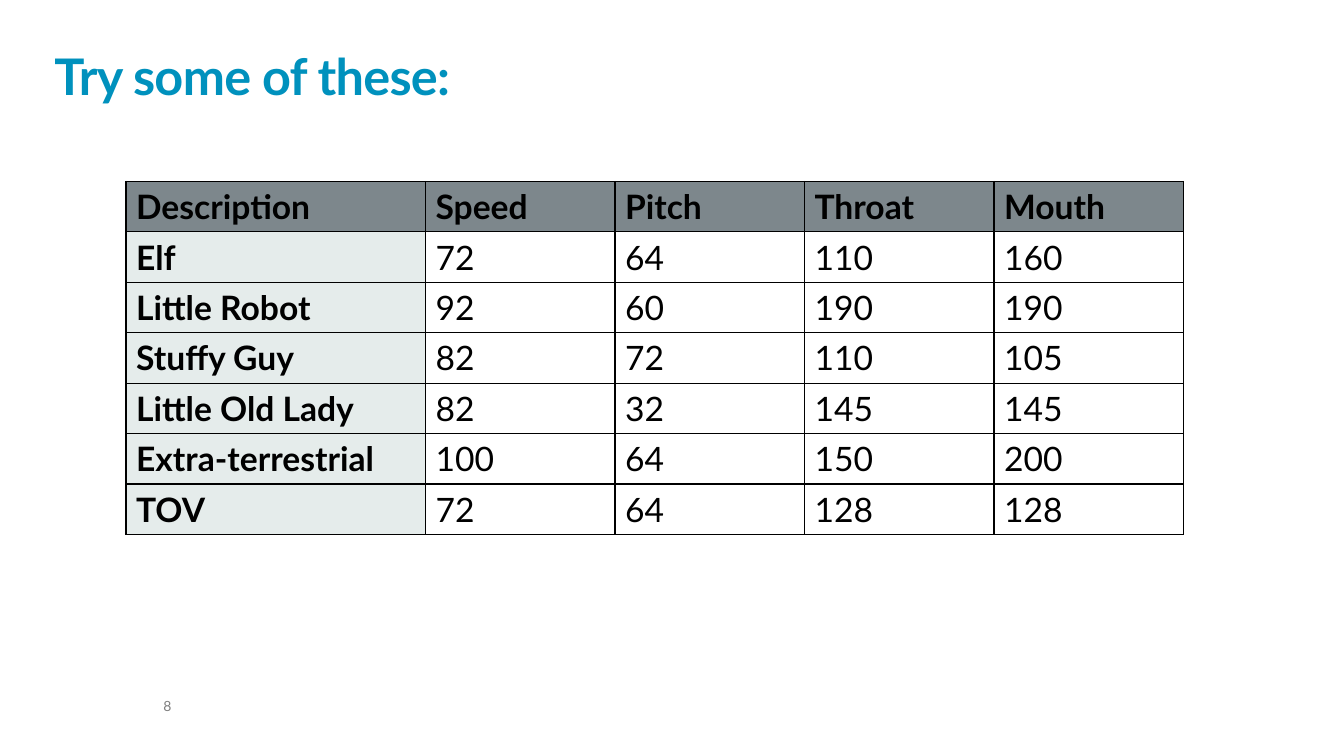
from lxml import etree
from pptx import Presentation
from pptx import util as u
from pptx.dml.color import RGBColor
from pptx.enum import text
from pptx.oxml.ns import qn

FONT = "Lato"
BLACK, BLUE, GREY = "000000", "0091BD", "7F7F7F"
HEADER_FILL, LABEL_FILL = "7D878C", "E5ECEB"
ROW_HEIGHT = 0.5
COLUMN_WIDTHS = [2.97] + [1.88] * 4
VOICES = [
    ("Description", "Speed", "Pitch", "Throat", "Mouth"),
    ("Elf", 72, 64, 110, 160),
    ("Little Robot", 92, 60, 190, 190),
    ("Stuffy Guy", 82, 72, 110, 105),
    ("Little Old Lady", 82, 32, 145, 145),
    ("Extra-terrestrial", 100, 64, 150, 200),
    ("TOV", 72, 64, 128, 128),
]


def color(value):
    return RGBColor.from_string(value)


def add_run(p, words, size, hex_color, bold=False):
    r = p.add_run()
    r.text = str(words)
    r.font.name = FONT
    r.font.size = u.Pt(size)
    r.font.bold = bold
    r.font.color.rgb = color(hex_color)
    return r


def add_label(slide, box, words, size, hex_color, line_spacing,
              bold=False, anchor=text.MSO_ANCHOR.TOP):
    """Add a text box without margins; box is left, top, width, height in inches."""
    tf = slide.shapes.add_textbox(*map(u.Inches, box)).text_frame
    tf.word_wrap = True
    tf.vertical_anchor = anchor
    tf.margin_left = tf.margin_top = tf.margin_right = tf.margin_bottom = 0
    p = tf.paragraphs[0]
    p.line_spacing = line_spacing
    return add_run(p, words, size, hex_color, bold)


def set_borders(cell, hex_color, width):
    tc_pr = cell._tc.get_or_add_tcPr()
    for side in ("lnL", "lnR", "lnT", "lnB"):
        ln = etree.SubElement(tc_pr, qn(f"a:{side}"), w=str(u.Pt(width)))
        fill = etree.SubElement(ln, qn("a:solidFill"))
        etree.SubElement(fill, qn("a:srgbClr"), val=hex_color)


def fill_cell(cell, hex_color):
    if hex_color:
        cell.fill.solid()
        cell.fill.fore_color.rgb = color(hex_color)
    else:
        cell.fill.background()


def add_voice_table(slide, left, top):
    size = sum(COLUMN_WIDTHS), ROW_HEIGHT * len(VOICES)
    table = slide.shapes.add_table(
        len(VOICES), len(COLUMN_WIDTHS),
        *map(u.Inches, (left, top, *size))).table
    for column, width in zip(table.columns, COLUMN_WIDTHS):
        column.width = u.Inches(width)
    for i, voice in enumerate(VOICES):
        for j, value in enumerate(voice):
            cell = table.cell(i, j)
            set_borders(cell, BLACK, 1)
            fill_cell(cell, HEADER_FILL if i == 0 else LABEL_FILL if j == 0 else None)
            add_run(cell.text_frame.paragraphs[0], value, 24, BLACK,
                    bold=i == 0 or j == 0)


def main():
    prs = Presentation()
    prs.slide_width, prs.slide_height = u.Inches(13.33), u.Inches(7.5)
    slide = prs.slides.add_slide(prs.slide_layouts[6])
    add_label(slide, (1.62, 6.94, 1.19, 0.15), "8", 10, GREY, 0.9)
    title = add_label(slide, (0.54, 0.32, 12.23, 0.73), "Try some of these:", 36,
                      BLUE, 0.85, bold=True, anchor=text.MSO_ANCHOR.BOTTOM)
    title.font._element.set("spc", "-50")
    add_voice_table(slide, 1.25, 1.8)
    prs.save("out.pptx")


if __name__ == "__main__":
    main()
